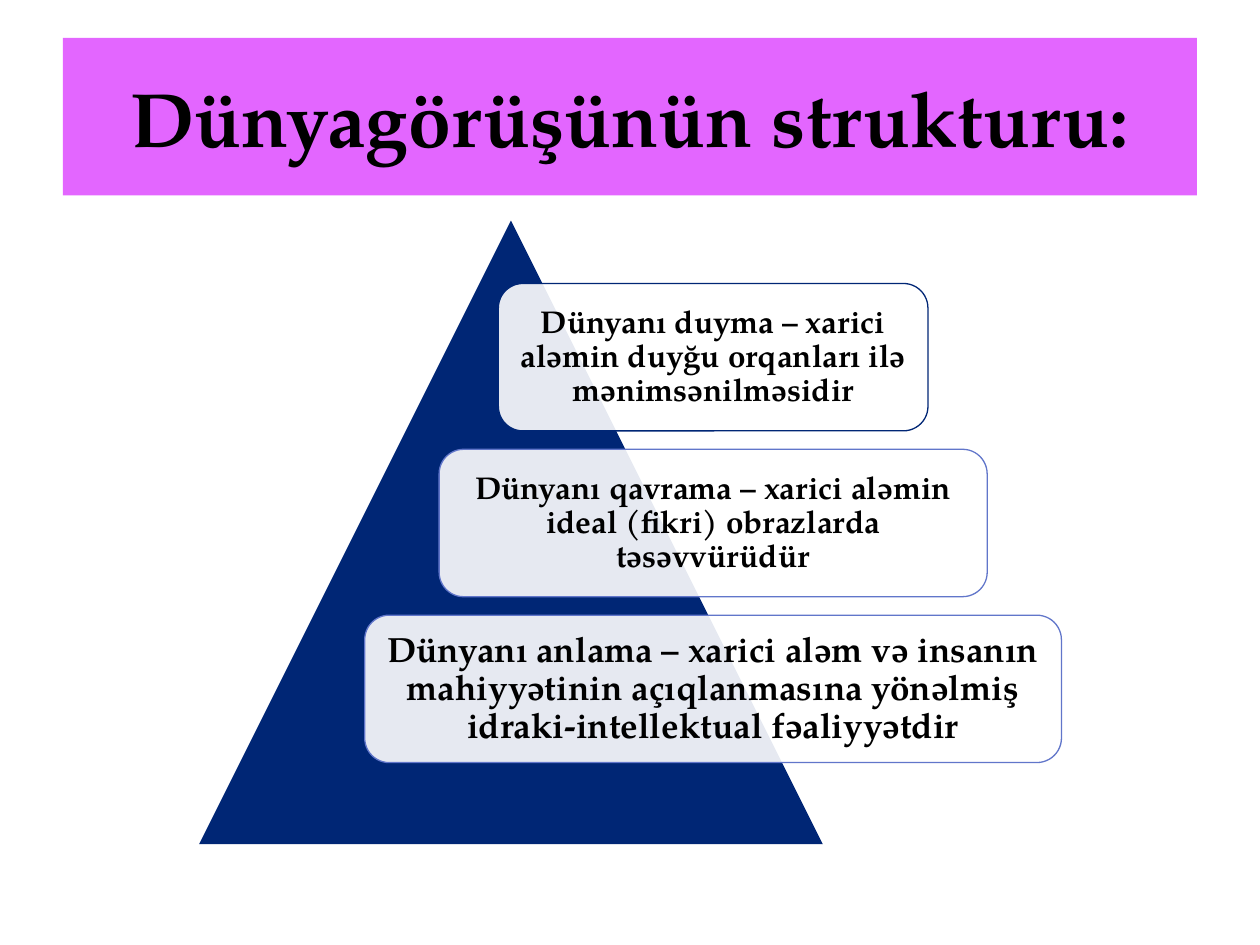
from lxml.etree import SubElement
from pptx import Presentation
from pptx.dml.color import RGBColor
from pptx.enum.shapes import MSO_SHAPE as Shape
from pptx.enum.text import MSO_ANCHOR as Anchor, PP_ALIGN as Align
from pptx.oxml.ns import qn
from pptx.util import Inches, Pt

NAVY = RGBColor(0x00, 0x26, 0x75)
BLUE = RGBColor(0x61, 0x76, 0xCA)
PINK = RGBColor(0xE3, 0x66, 0xFF)
WHITE = RGBColor(0xFF, 0xFF, 0xFF)
BLACK = RGBColor(0x00, 0x00, 0x00)

presentation = Presentation()
presentation.slide_width = Inches(10)
presentation.slide_height = Inches(7.5)
slide = presentation.slides.add_slide(presentation.slide_layouts[6])


def add_block(kind, left, top, width, height, fill, line=None):
    shape = slide.shapes.add_shape(kind, Inches(left), Inches(top), Inches(width), Inches(height))
    shape.shadow.inherit = False
    shape.fill.solid()
    shape.fill.fore_color.rgb = fill
    if line is None:
        shape.line.fill.background()
    else:
        shape.line.color.rgb = line
        shape.line.width = Pt(0.75)
    return shape


def write_text(shape, text, size, inset=0.1, spacing=1.0, after=0):
    frame = shape.text_frame
    frame.word_wrap = True
    frame.vertical_anchor = Anchor.MIDDLE
    frame.margin_left = frame.margin_right = Inches(inset)
    frame.margin_top = frame.margin_bottom = Inches(inset)
    paragraph = frame.paragraphs[0]
    paragraph.alignment = Align.CENTER
    paragraph.line_spacing = spacing
    paragraph.space_after = Pt(after)
    run = paragraph.add_run()
    run.text = text
    run.font.name = "TeX Gyre Pagella"
    run.font.size = Pt(size)
    run.font.bold = True
    run.font.color.rgb = BLACK


add_block(Shape.ISOSCELES_TRIANGLE, 1.58, 1.75, 4.95, 4.95, NAVY)

LEVELS = [
    ("Dünyanı duyma – xarici aləmin duyğu orqanları ilə mənimsənilməsidir", 3.41, 18, NAVY),
    ("Dünyanı qavrama – xarici aləmin ideal (fikri) obrazlarda təsəvvürüdür", 4.35, 18, BLUE),
    ("Dünyanı anlama – xarici aləm və insanın mahiyyətinin açıqlanmasına yönəlmiş "
     "idraki-intellektual fəaliyyətdir", 5.53, 20, BLUE),
]
CENTER, FIRST_TOP, ROW_HEIGHT = 5.66, 2.25, 1.17
ROW_STEP = ROW_HEIGHT * 9 / 8

for row, (text, width, size, line) in enumerate(LEVELS):
    box = add_block(Shape.ROUNDED_RECTANGLE, CENTER - width / 2, FIRST_TOP + row * ROW_STEP,
                    width, ROW_HEIGHT, WHITE, line)
    color = box.fill._xPr.find(qn("a:solidFill"))[0]
    SubElement(color, qn("a:alpha"), val="90000")
    write_text(box, text, size, inset=0.02, spacing=0.9)

title = add_block(Shape.RECTANGLE, 0.5, 0.3, 9, 1.25, PINK)
write_text(title, "Dünyagörüşünün strukturu:", 44, inset=0.05)

presentation.save("out.pptx")
